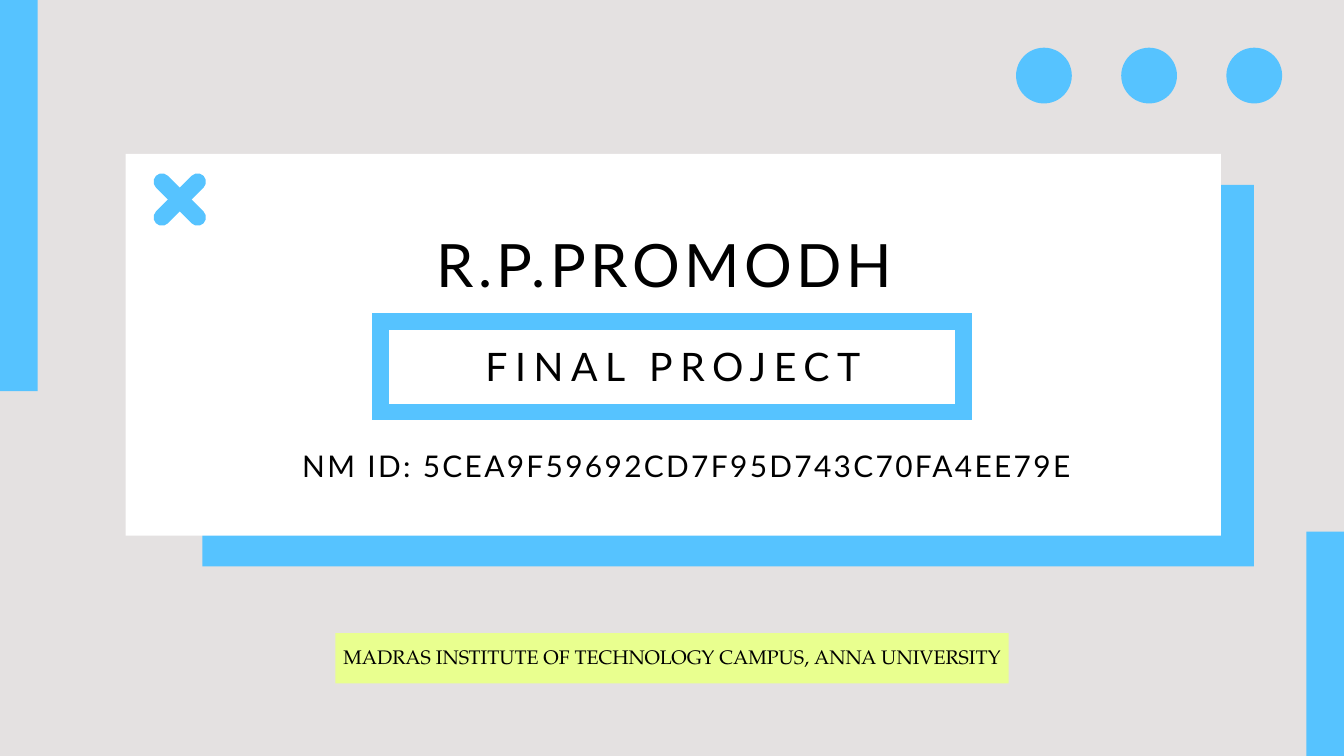
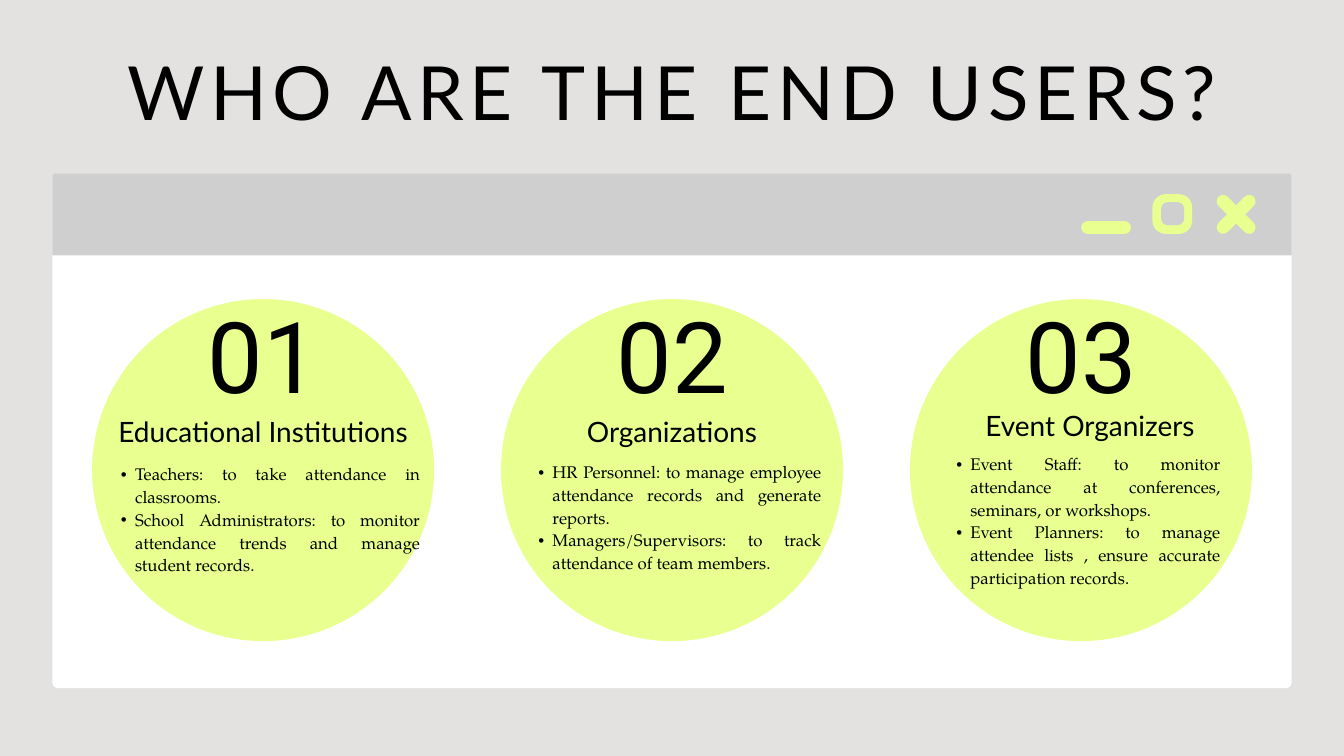
"""Build a project cover slide and an end-user overview slide."""
from dataclasses import dataclass
from typing import NamedTuple

from lxml.etree import SubElement
from pptx import Presentation
from pptx.dml.color import RGBColor
from pptx.enum.shapes import MSO_SHAPE as Preset
from pptx.enum.text import MSO_ANCHOR as Anchor, MSO_AUTO_SIZE as AutoSize, PP_ALIGN as Align
from pptx.oxml.ns import qn
from pptx.util import Inches, Pt


class TextStyle(NamedTuple):
    font: str
    size: float
    line_height: float
    tracking: float = 0
    bulleted: bool = False


@dataclass(frozen=True)
class Theme:
    backdrop = RGBColor.from_string("E4E1E1")
    blue = RGBColor.from_string("56C3FF")
    lime = RGBColor.from_string("E9FF8F")
    white = RGBColor.from_string("FFFFFF")
    gray = RGBColor.from_string("CFCFCF")
    black = RGBColor.from_string("000000")
    name = TextStyle("Lato", 64, 69.1, 5)
    subtitle = TextStyle("Lato", 42, 47.5, 8.1)
    identifier = TextStyle("Lato", 32, 34.6, 2.5)
    institution = TextStyle("TeX Gyre Pagella", 21, 29.4)
    title = TextStyle("Lato", 80, 86.4, 6.3)
    number = TextStyle("Roboto", 105.9, 143)
    heading = TextStyle("Lato", 30, 40.5)
    bullets = TextStyle("TeX Gyre Pagella", 18, 24.3, bulleted=True)


theme = Theme()


def add_block(slide, preset, box, color, rotation=0, adjustments=()):
    shape = slide.shapes.add_shape(preset, *map(Inches, box))
    shape.shadow.inherit = False
    shape.fill.solid()
    shape.fill.fore_color.rgb = color
    shape.line.fill.background()
    shape.rotation = rotation
    for index, value in enumerate(adjustments):
        shape.adjustments[index] = value
    return shape


def write_text(slide, box, lines, style, placeholder=None):
    shape = placeholder or slide.shapes.add_textbox(*map(Inches, box))
    shape.left, shape.top, shape.width, shape.height = map(Inches, box)
    slide.shapes._spTree.append(shape._element)
    frame = shape.text_frame
    frame.text = "\n".join(lines)
    frame.word_wrap = True
    frame.auto_size = AutoSize.NONE
    frame.vertical_anchor = Anchor.TOP
    frame.margin_left = frame.margin_top = frame.margin_right = frame.margin_bottom = 0
    for paragraph in frame.paragraphs:
        paragraph.alignment = Align.JUSTIFY if style.bulleted else Align.CENTER
        paragraph.line_spacing = Pt(style.line_height)
        paragraph.space_before = paragraph.space_after = Pt(0)
        if style.bulleted:
            paragraph.level = 1
            properties = paragraph._p.get_or_add_pPr()
            properties.set("marL", str(Inches(0.43)))
            properties.set("indent", str(Inches(-0.21)))
            SubElement(properties, qn("a:buFont"), typeface="Arial")
            SubElement(properties, qn("a:buChar"), char="•")
        for run in paragraph.runs:
            run.font.name = style.font
            run.font.size = Pt(style.size)
            run.font.bold = False
            run.font.color.rgb = theme.black
            run._r.get_or_add_rPr().set("spc", str(round(style.tracking * 100)))


presentation = Presentation()
presentation.slide_width = Inches(20)
presentation.slide_height = Inches(11.25)
background = presentation.slide_master.background.fill
background.solid()
background.fore_color.rgb = theme.backdrop

cover = presentation.slides.add_slide(presentation.slide_layouts.get_by_name("Title Slide"))
for box, color in (
    ((3.01, 2.75, 15.65, 5.68), theme.blue),
    ((4.99, 9.42, 10.02, 0.75), theme.lime),
    ((1.87, 2.29, 16.3, 5.68), theme.white),
    ((0, 0, 0.56, 5.82), theme.blue),
    ((19.44, 7.91, 0.56, 3.34), theme.blue),
):
    add_block(cover, Preset.RECTANGLE, box, color)
for dot in range(3):
    add_block(cover, Preset.OVAL, (15.12 + 1.565 * dot, 0.71, 0.83, 0.83), theme.blue)
for angle in (315, 45):
    add_block(cover, Preset.ROUNDED_RECTANGLE, (2.55, 2.47, 0.25, 1), theme.blue, angle, [0.5])

subtitle_frame = add_block(cover, Preset.RECTANGLE, (5.66, 4.78, 8.68, 1.35), theme.white)
subtitle_frame.fill.background()
subtitle_frame.line.color.rgb = theme.blue
subtitle_frame.line.width = Pt(18)
SubElement(subtitle_frame.line._get_or_add_ln(), qn("a:miter"), lim="800000")

write_text(cover, (1.34, 3.5, 17.1, 0.98), ["R.P.PROMODH"], theme.name, cover.shapes.title)
write_text(cover, (1.14, 5.14, 17.75, 0.67), ["FINAL PROJECT"], theme.subtitle, cover.placeholders[1])
write_text(cover, (1.67, 6.72, 17.1, 0.49), ["NM ID: 5CEA9F59692CD7F95D743C70FA4EE79E"], theme.identifier)
write_text(cover, (5.05, 9.54, 9.9, 0.39), ["MADRAS INSTITUTE OF TECHNOLOGY CAMPUS, ANNA UNIVERSITY"],
           theme.institution)

users = presentation.slides.add_slide(presentation.slide_layouts.get_by_name("Comparison"))
add_block(users, Preset.ROUNDED_RECTANGLE, (0.78, 2.58, 18.44, 7.66), theme.white, adjustments=[0.01])
add_block(users, Preset.ROUND_2_SAME_RECTANGLE, (0.78, 2.58, 18.44, 1.22), theme.gray, adjustments=[0.04, 0])
for box, color, angle, roundness in (
    ((16.09, 3.29, 0.74, 0.19), theme.lime, 0, 0.5),
    ((17.15, 2.89, 0.59, 0.59), theme.lime, 0, 0.33),
    ((17.28, 3.01, 0.34, 0.34), theme.gray, 0, 0.27),
    ((18.3, 2.82, 0.19, 0.74), theme.lime, 315, 0.5),
    ((18.3, 2.82, 0.19, 0.74), theme.lime, 45, 0.5),
):
    add_block(users, Preset.ROUNDED_RECTANGLE, box, color, angle, [roundness])
write_text(users, (0.53, 0.81, 19.32, 1.23), ["WHO ARE THE END USERS? "], theme.title, users.shapes.title)

first_list, second_list, third_list, spare_list = list(users.placeholders)[1:]
spare_list._element.getparent().remove(spare_list._element)
user_groups = (
    ("Educational Institutions", (1.58, 6.11, 4.67, 0.54), first_list, (1.58, 6.87, 4.67, 1.66), [
        "Teachers: to take attendance in classrooms.",
        "School Administrators: to monitor attendance trends and manage student records."]),
    ("Organizations", (8.06, 6.11, 3.88, 0.54), second_list, (7.79, 6.84, 4.43, 1.66), [
        "HR Personnel: to manage employee attendance records and generate reports.",
        "Managers/Supervisors: to track attendance of team members."]),
    ("Event Organizers", (14.28, 6.02, 3.88, 0.54), third_list, (14.01, 6.72, 4.15, 2.33), [
        "Event Staff: to monitor attendance at conferences, seminars, or workshops.",
        "Event Planners: to manage attendee lists , ensure accurate participation records."]),
)
for index, (heading, heading_box, placeholder, list_box, items) in enumerate(user_groups):
    offset = 6.085 * index
    add_block(users, Preset.OVAL, (1.37 + offset, 4.45, 5.09, 5.09), theme.lime)
    write_text(users, (1.98 + offset, 4.16, 3.88, 1.94), [f"{index + 1:02}"], theme.number)
    write_text(users, heading_box, [heading], theme.heading)
    write_text(users, list_box, items, theme.bullets, placeholder)

presentation.save("out.pptx")
